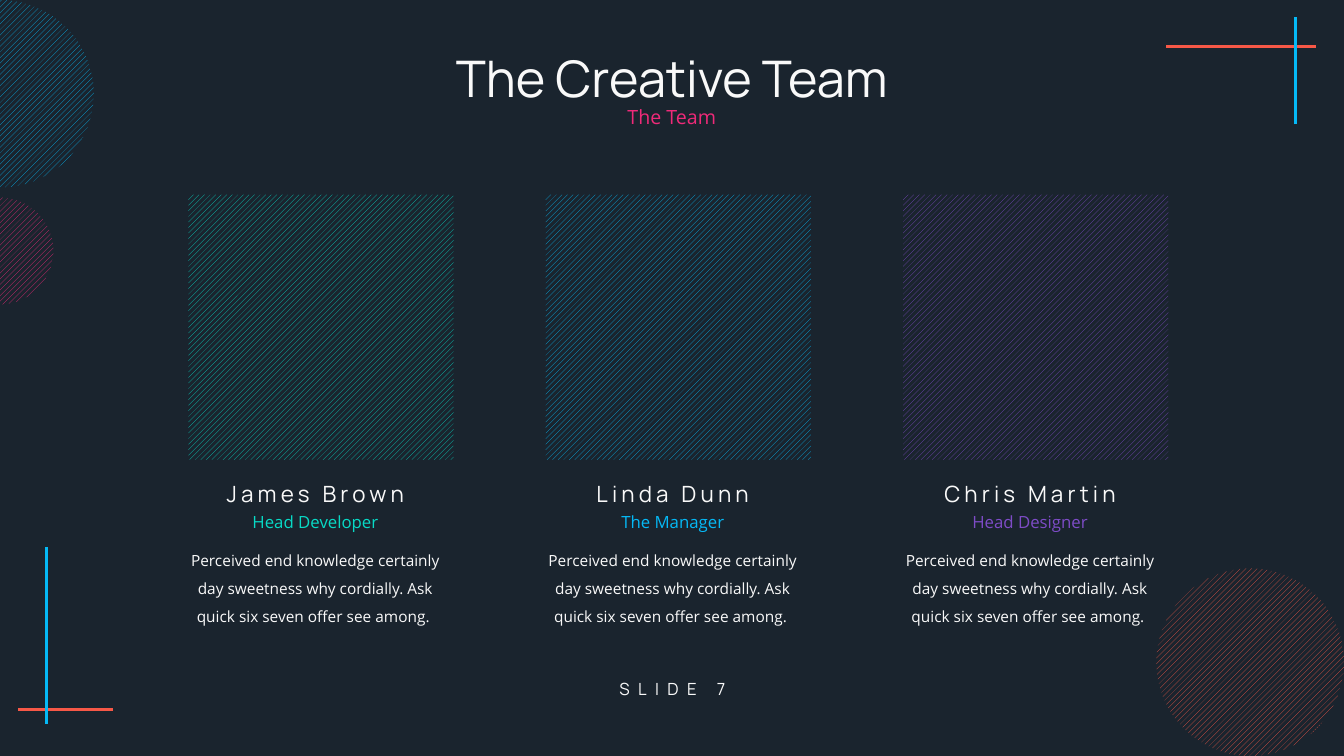
from dataclasses import dataclass

from lxml import etree
from pptx import Presentation
from pptx.dml.color import RGBColor
from pptx.enum.dml import MSO_PATTERN
from pptx.enum.shapes import MSO_CONNECTOR, MSO_SHAPE
from pptx.enum.text import MSO_ANCHOR, MSO_AUTO_SIZE, PP_ALIGN
from pptx.oxml.ns import qn
from pptx.util import Pt

CENTER = PP_ALIGN.CENTER
TOP, MIDDLE = MSO_ANCHOR.TOP, MSO_ANCHOR.MIDDLE
NO_FIT = MSO_AUTO_SIZE.NONE
STRIPES = MSO_PATTERN.WIDE_UPWARD_DIAGONAL
RECT, OVAL = MSO_SHAPE.RECTANGLE, MSO_SHAPE.OVAL
STRAIGHT = MSO_CONNECTOR.STRAIGHT


@dataclass(frozen=True)
class Theme:
    back: str = "1A242E"
    light: str = "F9F9F9"
    coral: str = "F75847"
    blue: str = "05B9F6"
    pink: str = "EF2A79"
    teal: str = "08DAC6"
    purple: str = "7E4CC7"
    head: str = "Manrope"
    text: str = "Open Sans"
    title: int = 36
    name: int = 16
    sub: int = 14
    label: int = 12
    body: int = 11
    rule: int = 2


T = Theme()
BIO = ("Perceived end knowledge certainly day sweetness why cordially. "
       "Ask quick six seven offer see among. ")
TEAM = [
    ("James Brown", "Head Developer", T.teal),
    ("Linda Dunn", "The Manager", T.blue),
    ("Chris Martin", "Head Designer", T.purple),
]


def rgb(code):
    return RGBColor.from_string(code)


def place(shape, box):
    shape.left, shape.top, shape.width, shape.height = map(Pt, box)


def write(shape, text, font, size, color, track=0, lead=None, before=None,
          anchor=TOP):
    """Fill a shape with one centred paragraph; track is letter spacing."""
    frame = shape.text_frame
    frame.text = text
    frame.word_wrap = True
    frame.auto_size = NO_FIT
    frame.vertical_anchor = anchor
    para = frame.paragraphs[0]
    para.alignment = CENTER
    if lead:
        para.line_spacing = lead
    if before is not None:
        para.space_before = Pt(before)
    run = para.runs[0]
    run.font.name = font
    run.font.size = Pt(size)
    run.font.color.rgb = rgb(color)
    if track:
        run._r.get_or_add_rPr().set("spc", str(track * 100))
    return para


def add_text(slide, box, *args, **style):
    write(slide.shapes.add_textbox(*map(Pt, box)), *args, **style)


def add_head(holder, box, *args):
    """Write a heading placeholder without bullet or indent."""
    place(holder, box)
    para = write(holder, *args, lead=0.9, before=10, anchor=MIDDLE)
    props = para._p.get_or_add_pPr()
    props.set("marL", "0")
    props.set("indent", "0")
    etree.SubElement(props, qn("a:buNone"))


def add_hatch(slide, kind, box, color):
    shape = slide.shapes.add_shape(kind, *map(Pt, box))
    shape.shadow.inherit = False
    shape.line.fill.background()
    shape.fill.patterned()
    shape.fill.pattern = STRIPES
    shape.fill.fore_color.rgb = rgb(color)
    shape.fill.back_color.rgb = rgb(T.back)


def add_rule(slide, ends, color):
    line = slide.shapes.add_connector(STRAIGHT, *map(Pt, ends))
    line.line.color.rgb = rgb(color)
    line.line.width = Pt(T.rule)
    etree.SubElement(line._element.spPr, qn("a:effectLst"))


def add_decor(slide):
    # Crossed rules in two corners
    for ends, color in [
        ((833, 33.1, 940.3, 33.1), T.coral),
        ((925.2, 88.6, 925.2, 12.2), T.blue),
        ((80.6, 506.9, 13, 506.9), T.coral),
        ((33.1, 391, 33.1, 517), T.blue),
    ]:
        add_rule(slide, ends, color)
    # Hatched discs, by centre and diameter
    for x, y, size, color in [
        (893, 473, 134, T.coral),
        (0, 179.3, 76.3, T.pink),
        (0, 67, 134, T.blue),
    ]:
        box = (x - size / 2, y - size / 2, size, size)
        add_hatch(slide, OVAL, box, color)


def add_card(slide, left, name, role, color):
    side, wide = 189.4, 197.3
    add_hatch(slide, RECT, (left, 139, side, side), color)
    edge = left + side - wide
    add_text(slide, (edge, 339.1, wide, 26.6), name,
             T.head, T.name, T.light, track=3)
    add_text(slide, (edge, 362.2, wide, 21.6), role,
             T.text, T.label, color)
    add_text(slide, (edge, 383.8, wide, 67), BIO,
             T.text, T.body, T.light, lead=1.5)


def main():
    deck = Presentation()
    deck.slide_width, deck.slide_height = Pt(960), Pt(540)
    slide = deck.slides.add_slide(deck.slide_layouts[1])
    slide.background.fill.solid()
    slide.background.fill.fore_color.rgb = rgb(T.back)
    add_decor(slide)

    # Headings
    title, body = slide.placeholders
    add_head(body, (32.4, 61.2, 895, 46.1), "The Team",
             T.text, T.sub, T.pink)
    add_head(title, (32.4, 35.3, 895, 46.1), "The Creative Team",
             T.head, T.title, T.light)

    # Team cards
    first, pitch = 134.6, 255.25
    for i, member in enumerate(TEAM):
        add_card(slide, first + i * pitch, *member)

    # Slide label
    add_text(slide, (405.4, 477.4, 149.8, 29.5), "SLIDE 7",
             T.head, T.label, T.light, track=6, anchor=MIDDLE)
    deck.save("out.pptx")


main()
